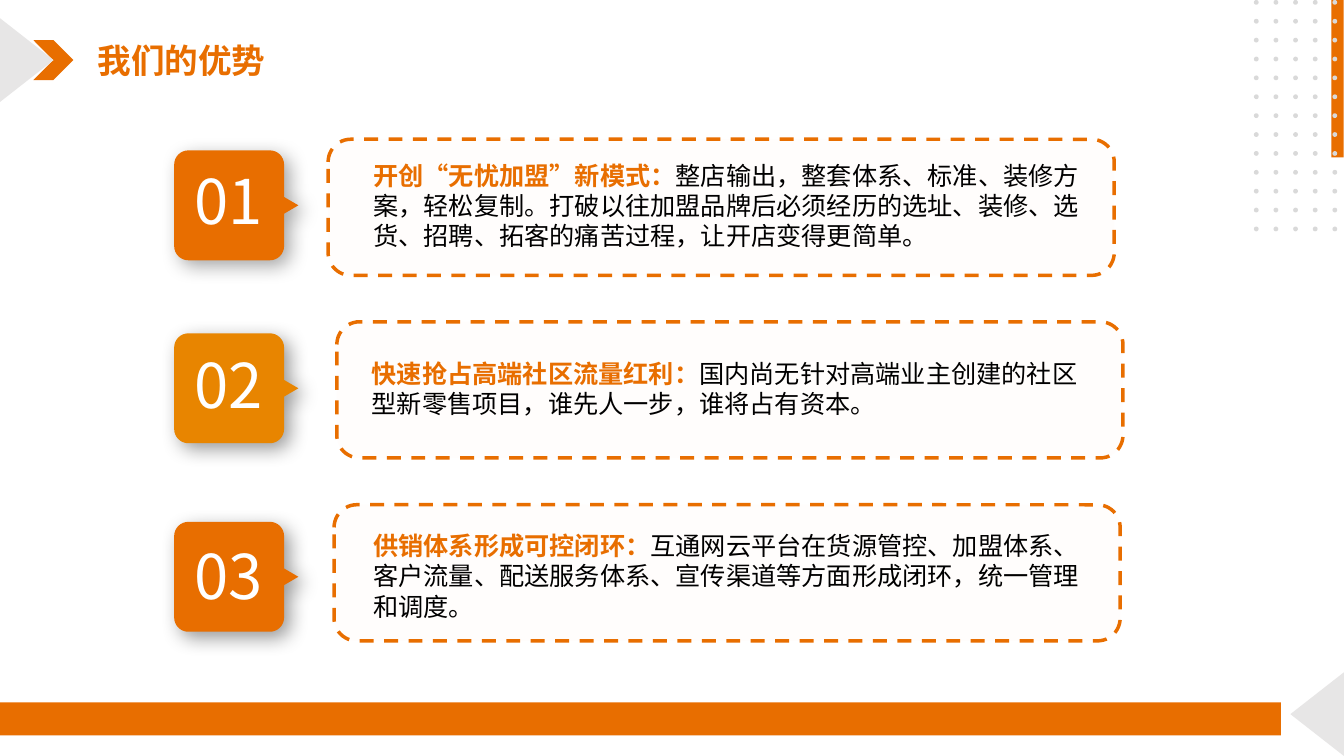
from lxml.etree import SubElement as Sub
from pptx import Presentation
from pptx.dml.color import RGBColor
from pptx.enum.dml import MSO_LINE as Dash
from pptx.enum.shapes import MSO_SHAPE as Shape
from pptx.enum.text import MSO_AUTO_SIZE as Fit, PP_ALIGN as Align
from pptx.oxml.ns import qn
from pptx.util import Cm, Pt

ORANGE = RGBColor(0xE8, 0x6E, 0x00)
AMBER = RGBColor(0xE8, 0x85, 0x00)
CREAM = RGBColor(0xFF, 0xFD, 0xFC)
SILVER = RGBColor(0xE7, 0xE6, 0xE6)
GRAY = RGBColor(0xD9, 0xD9, 0xD9)
WHITE = RGBColor(0xFF, 0xFF, 0xFF)
BLACK = RGBColor(0x00, 0x00, 0x00)
FONT = "Noto Sans CJK SC"

# Badge size, corner radius, curve handle and arrow tip, in cm
SIDE, CURVE, PULL, TIP = 2.77, 0.36, 0.16, 3.13

# Number, badge colour, shadow opacity, badge top, number top,
# frame left and top, text left, top and height, heading, body
ITEMS = [
    ("01", ORANGE, 35, 3.79, 3.99, (8.27, 3.51), (9.16, 3.91, 2.57),
     "开创“无忧加盟”新模式：",
     "整店输出，整套体系、标准、装修方案，轻松复制。打破以往加盟品牌后必须经历的"
     "选址、装修、选货、招聘、拓客的痛苦过程，让开店变得更简单。"),
    ("02", AMBER, 40, 8.4, 8.62, (8.49, 8.11), (9.12, 8.9, 1.8),
     "快速抢占高端社区流量红利：",
     "国内尚无针对高端业主创建的社区型新零售项目，谁先人一步，谁将占有资本。"),
    ("03", ORANGE, 40, 13.15, 13.44, (8.42, 12.72), (9.16, 13.24, 2.57),
     "供销体系形成可控闭环：",
     "互通网云平台在货源管控、加盟体系、客户流量、配送服务体系、宣传渠道等方面"
     "形成闭环，统一管理和调度。"),
]


def paint(shape, fill):
    shape.shadow.inherit = False
    shape.fill.solid()
    shape.fill.fore_color.rgb = fill
    shape.line.fill.background()


def block(shapes, kind, x, y, w, h, fill, turn=0):
    shape = shapes.add_shape(kind, Cm(x), Cm(y), Cm(w), Cm(h))
    paint(shape, fill)
    shape.rotation = turn
    return shape


def frame(shapes, x, y):
    shape = block(shapes, Shape.ROUNDED_RECTANGLE, x, y, 19.81, 3.43, CREAM)
    shape.line.color.rgb = ORANGE
    shape.line.width = Pt(2.5)
    shape.line.dash_style = Dash.DASH


def label(shapes, x, y, w, h, size, runs, align=Align.LEFT):
    """Each run is a tuple of text, colour and bold."""
    box = shapes.add_textbox(Cm(x), Cm(y), Cm(w), Cm(h)).text_frame
    box.word_wrap = True
    box.auto_size = Fit.SHAPE_TO_FIT_TEXT
    para = box.paragraphs[0]
    para.alignment = align
    for text, color, bold in runs:
        run = para.add_run()
        run.text = text
        font = run.font
        font.name, font.size, font.bold = FONT, Pt(size), bold
        font.color.rgb = color
        Sub(font._element, qn("a:ea"), typeface=FONT)


def cast(shape, alpha):
    """Soft shadow to the lower right."""
    glow = shape._element.spPr.find(qn("a:effectLst"))
    outer = Sub(glow, qn("a:outerShdw"), blurRad=str(Pt(14)), dist=str(Pt(6)),
                dir="2700000", algn="tl", rotWithShape="0")
    color = Sub(outer, qn("a:srgbClr"), val="000000")
    Sub(color, qn("a:alpha"), val=str(alpha * 1000))


def bend(shape, starts):
    """Turn the three steps from each start into one curve."""
    steps = list(next(shape._element.iter(qn("a:pathLst")))[0])
    for start in starts:
        first, *rest = steps[start:start + 3]
        first.tag = qn("a:cubicBezTo")
        for step in rest:
            first.append(step[0])
            step.getparent().remove(step)


def badge(shapes, x, y, fill, alpha):
    near, far, mid = CURVE, SIDE - CURVE, SIDE / 2
    end = SIDE - PULL
    points = [
        (0, near), (0, PULL), (PULL, 0), (near, 0),
        (far, 0), (end, 0), (SIDE, PULL), (SIDE, near),
        (SIDE, mid - 0.21), (TIP, mid), (SIDE, mid + 0.21),
        (SIDE, far), (SIDE, end), (end, SIDE), (far, SIDE),
        (near, SIDE), (PULL, SIDE), (0, end), (0, far),
    ]
    spots = [(Cm(x + px), Cm(y + py)) for px, py in points]
    pen = shapes.build_freeform(*spots[0])
    pen.add_line_segments(spots[1:], close=True)
    shape = pen.convert_to_shape()
    bend(shape, (1, 5, 12, 16))
    paint(shape, fill)
    cast(shape, alpha)


def decor(shapes):
    # Corner arrows and bars
    block(shapes, Shape.CHEVRON, 0.84, 1.01, 1.01, 1.01, ORANGE)
    block(shapes, Shape.ISOSCELES_TRIANGLE, -0.38, 0.84, 2.11, 1.35, SILVER, 90)
    block(shapes, Shape.ISOSCELES_TRIANGLE, 32.14, 17.32, 2.11, 1.35, SILVER, 270)
    block(shapes, Shape.RECTANGLE, 0, 17.7, 32.28, 0.83, ORANGE)
    block(shapes, Shape.RECTANGLE, 31.7, 1.81, 4.01, 0.31, ORANGE, 90)
    # Dot grid
    dots = shapes.add_group_shape().shapes
    for row in range(13):
        for col in range(5):
            block(dots, Shape.OVAL, 31.6 + 1.98 * col / 4, 5.71 * row / 12,
                  0.12, 0.12, GRAY)


def main():
    deck = Presentation()
    deck.slide_width, deck.slide_height = Cm(33.87), Cm(19.05)
    shapes = deck.slides.add_slide(deck.slide_layouts[6]).shapes

    decor(shapes)
    label(shapes, 2.21, 0.89, 14.2, 1.27, 24, [("我们的优势", ORANGE, True)])

    # Frames with their texts
    for *_, edge, (x, y, h), head, body in ITEMS:
        frame(shapes, *edge)
        label(shapes, x, y, 18.34, h, 18,
              [(head, ORANGE, True), (body, BLACK, False)])

    # Numbered badges
    for num, fill, alpha, top, mark, *_ in ITEMS:
        badge(shapes, 4.39, top, fill, alpha)
        label(shapes, 4.37, mark, 2.77, 2.13, 44, [(num, WHITE, False)],
              Align.CENTER)

    deck.save("out.pptx")


if __name__ == "__main__":
    main()
